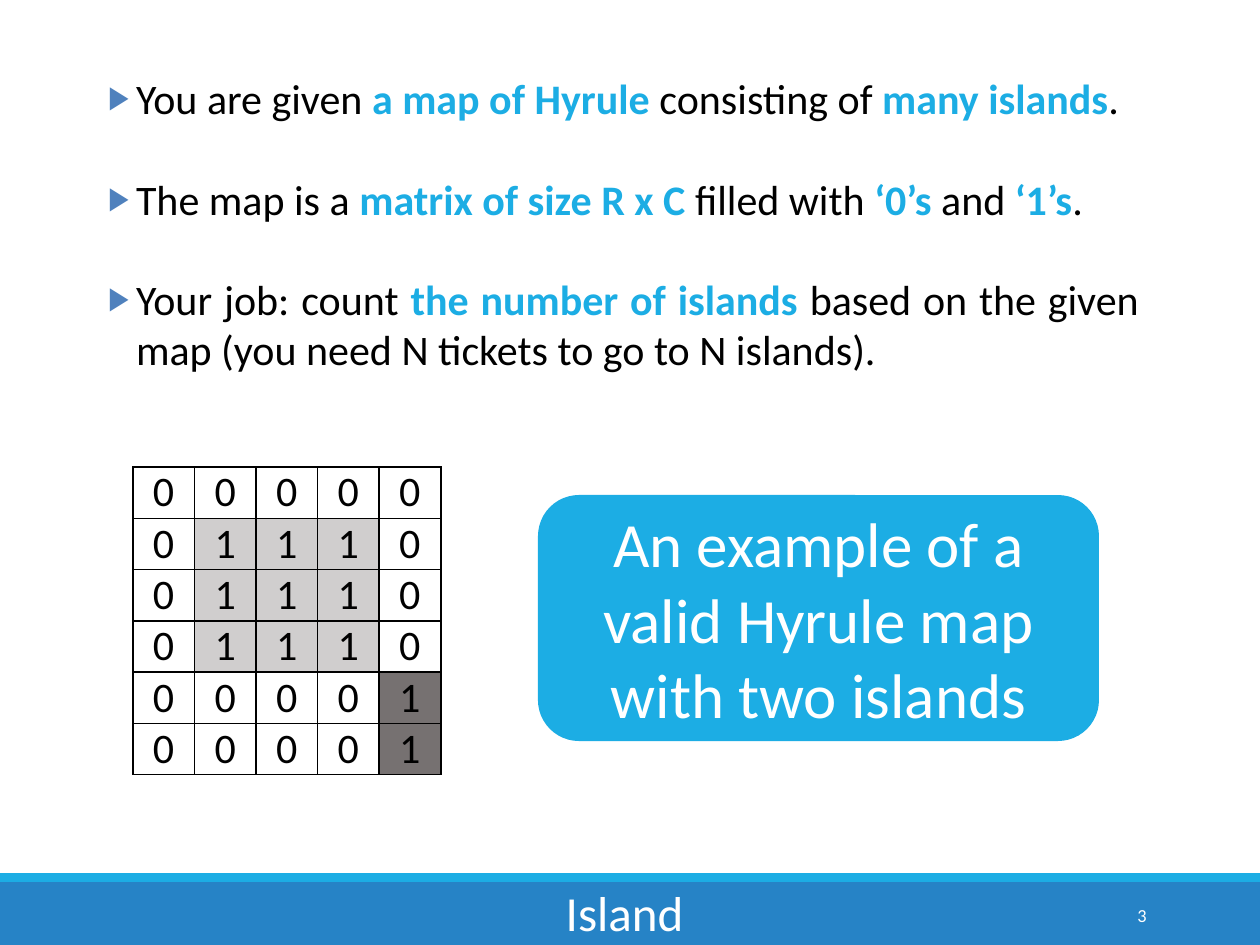
from lxml import etree
from pptx import Presentation
from pptx.dml.color import RGBColor
from pptx.enum.shapes import MSO_SHAPE
from pptx.enum.text import MSO_ANCHOR, MSO_AUTO_SIZE, PP_ALIGN
from pptx.oxml.ns import qn
from pptx.util import Emu, Pt

RECTANGLE, ROUNDED = MSO_SHAPE.RECTANGLE, MSO_SHAPE.ROUNDED_RECTANGLE
TOP, MIDDLE = MSO_ANCHOR.TOP, MSO_ANCHOR.MIDDLE
CENTER, RIGHT, JUSTIFY = PP_ALIGN.CENTER, PP_ALIGN.RIGHT, PP_ALIGN.JUSTIFY
NO_AUTOFIT = MSO_AUTO_SIZE.NONE

BLACK = RGBColor(0x00, 0x00, 0x00)
WHITE = RGBColor(0xFF, 0xFF, 0xFF)
SKY = RGBColor(0x1C, 0xAD, 0xE4)
BLUE = RGBColor(0x26, 0x83, 0xC6)
BULLET_BLUE = RGBColor(0x4F, 0x81, 0xBD)
LIGHT_GRAY = RGBColor(0xD0, 0xCE, 0xCE)
DARK_GRAY = RGBColor(0x76, 0x71, 0x71)

FONT = "Calibri"
PX_PER_INCH = 126

# Odd pieces of a sentence are plain, even pieces are highlighted
MAP_POINTS = [
    ["You are given ", "a map of Hyrule ", "consisting of ", "many islands", "."],
    ["The map is a ", "matrix of size R x C ", "filled with ", "‘0’s ", "and ", "‘1’s", "."],
]
JOB_POINTS = [
    ["Your job: count ", "the number of islands",
     " based on the given map (you need N tickets to go to N islands)."],
]

# Each island has its own letter; a dot is water
ISLAND_MAP = [".....", ".aaa.", ".aaa.", ".aaa.", "....b", "....b"]
ISLAND_FILLS = {".": WHITE, "a": LIGHT_GRAY, "b": DARK_GRAY}


def px(length):
    return Emu(round(length * 914400 / PX_PER_INCH))


def set_format(target, **values):
    for name, value in values.items():
        setattr(target, name, value)


def set_font(font, size, color, bold=False):
    set_format(font, name=FONT, size=Pt(size), bold=bold)
    font.color.rgb = color


def place(shape, box):
    left, top, width, height = map(px, box)
    set_format(shape, left=left, top=top, width=width, height=height)


def add_filled_shape(slide, kind, box, color):
    shape = slide.shapes.add_shape(kind, *map(px, box))
    shape.shadow.inherit = False
    shape.fill.solid()
    shape.fill.fore_color.rgb = color
    shape.line.fill.background()
    return shape


def write_line(shape, text, size, color, alignment, wrap=True):
    frame = shape.text_frame
    set_format(frame, word_wrap=wrap, auto_size=NO_AUTOFIT, vertical_anchor=MIDDLE)
    paragraph = frame.paragraphs[0]
    paragraph.alignment = alignment
    run = paragraph.add_run()
    run.text = text
    set_font(run.font, size, color)


def add_bullet(paragraph):
    properties = paragraph._p.get_or_add_pPr()
    properties.set("marL", str(px(29)))
    properties.set("indent", str(px(-28)))
    color = etree.SubElement(properties, qn("a:buClr"))
    etree.SubElement(color, qn("a:srgbClr"), val=str(BULLET_BLUE))
    etree.SubElement(properties, qn("a:buSzPct"), val="76000")
    etree.SubElement(properties, qn("a:buFont"), typeface=FONT)
    etree.SubElement(properties, qn("a:buChar"), char="▶")


def fill_bullet_list(placeholder, box, points):
    place(placeholder, box)
    frame = placeholder.text_frame
    set_format(frame, word_wrap=True, auto_size=NO_AUTOFIT, vertical_anchor=TOP,
               margin_left=px(9), margin_right=px(9), margin_top=px(5), margin_bottom=px(5))
    for index, pieces in enumerate(points):
        paragraph = frame.add_paragraph() if index else frame.paragraphs[0]
        add_bullet(paragraph)
        set_format(paragraph, alignment=JUSTIFY, space_before=Pt(29 if index else 0))
        for position, piece in enumerate(pieces):
            highlighted = position % 2 == 1
            run = paragraph.add_run()
            run.text = piece
            set_font(run.font, 24, SKY if highlighted else BLACK, highlighted)


def add_cell_borders(cell):
    properties = cell._tc.get_or_add_tcPr()
    for side in ("a:lnL", "a:lnR", "a:lnT", "a:lnB"):
        line = etree.SubElement(properties, qn(side), w=str(Pt(1)))
        fill = etree.SubElement(line, qn("a:solidFill"))
        etree.SubElement(fill, qn("a:srgbClr"), val=str(BLACK))


def add_island_map(slide, box):
    row_count, column_count = len(ISLAND_MAP), len(ISLAND_MAP[0])
    frame = slide.shapes.add_table(row_count, column_count, *map(px, box))
    table = frame.table
    set_format(table, first_row=False, horz_banding=False)
    for column in table.columns:
        column.width = px(box[2] / column_count)
    for row in table.rows:
        row.height = px(box[3] / row_count)
    for row_index, marks in enumerate(ISLAND_MAP):
        for column_index, mark in enumerate(marks):
            cell = table.cell(row_index, column_index)
            set_format(cell, margin_left=px(20), margin_right=px(20),
                       margin_top=0, margin_bottom=0)
            add_cell_borders(cell)
            cell.fill.solid()
            cell.fill.fore_color.rgb = ISLAND_FILLS[mark]
            paragraph = cell.text_frame.paragraphs[0]
            paragraph.alignment = JUSTIFY
            run = paragraph.add_run()
            run.text = "0" if mark == "." else "1"
            set_font(run.font, 24, BLACK)


def add_footer(slide, box):
    left, top, width, height = box
    stripe_height = 9
    bar = add_filled_shape(
        slide, RECTANGLE, (left, top + stripe_height, width, height - stripe_height), BLUE)
    stripe = add_filled_shape(slide, RECTANGLE, (left, top, width, stripe_height), SKY)

    # Title and page number sit in front of the bars
    title = slide.shapes.title
    for background in (bar, stripe):
        title._element.addprevious(background._element)
    place(title, (left + 552, top + 3, 145, 72))
    write_line(title, "Island", 28, WHITE, CENTER, wrap=False)
    number = slide.shapes.add_textbox(*map(px, (left + 1023, top + 17, 136, 50)))
    write_line(number, "3", 10.5, WHITE, RIGHT)


def main():
    presentation = Presentation()
    set_format(presentation, slide_width=px(1260), slide_height=px(945))
    two_content = presentation.slide_layouts[3]
    slide = presentation.slides.add_slide(two_content)

    # Problem statement
    fill_bullet_list(slide.placeholders[1], (98, 67, 1106, 164), MAP_POINTS)
    fill_bullet_list(slide.placeholders[2], (98, 268, 1050, 232), JOB_POINTS)

    # Example map and its caption
    add_island_map(slide, (133, 467, 308, 302))
    caption = add_filled_shape(slide, ROUNDED, (538, 495, 561, 246), SKY)
    write_line(caption, "An example of a valid Hyrule map with two islands", 36, WHITE, CENTER)

    add_footer(slide, (0, 873, 1260, 72))
    presentation.save("out.pptx")


if __name__ == "__main__":
    main()
